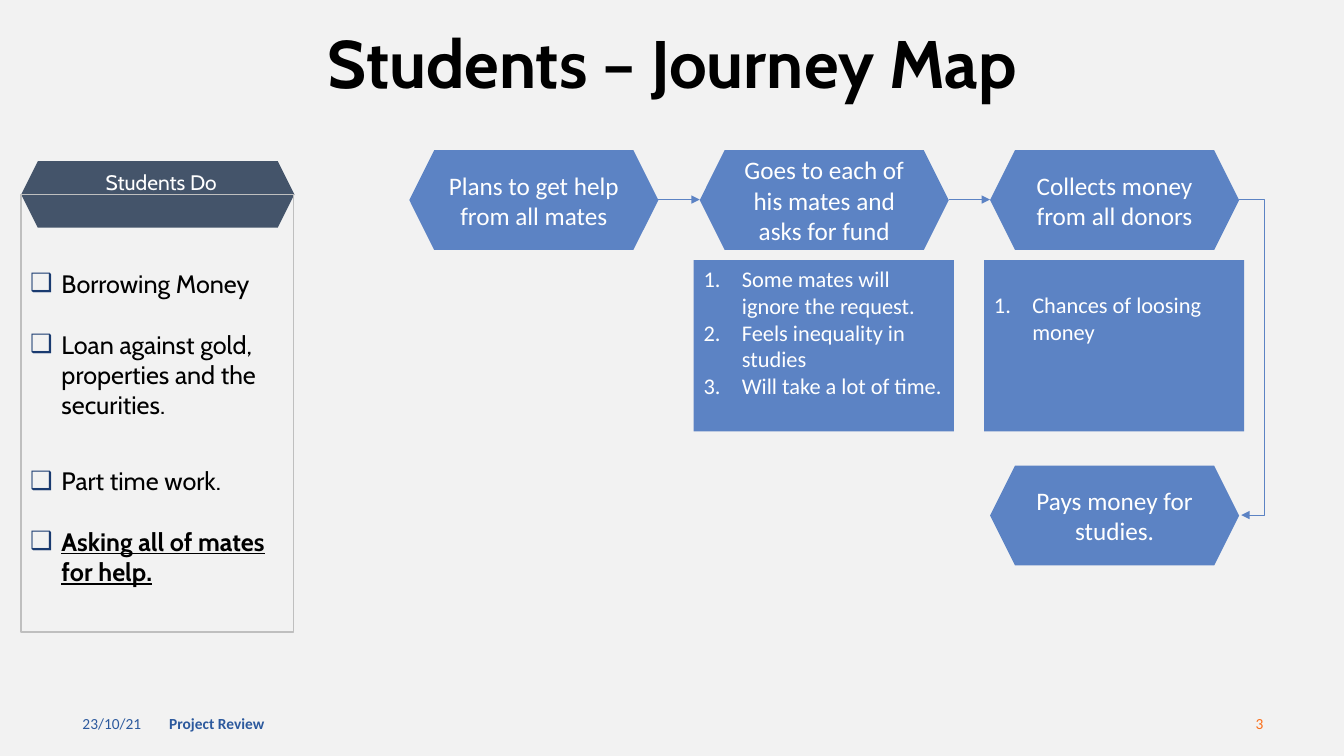
import dataclasses
import typing

import lxml.etree
import pptx
import pptx.dml.color
import pptx.enum.shapes
import pptx.enum.text
import pptx.oxml.ns
import pptx.util

SHAPE = pptx.enum.shapes.MSO_SHAPE
LINK = pptx.enum.shapes.MSO_CONNECTOR
ALIGN = pptx.enum.text.PP_ALIGN
ANCHOR = pptx.enum.text.MSO_ANCHOR
FIT = pptx.enum.text.MSO_AUTO_SIZE
SCALE = 9144  # EMU in one px: 100 px to the inch


@dataclasses.dataclass(frozen=True)
class Theme:
    back: str = "F2F2F2"
    step: str = "5C83C4"
    slate: str = "44546A"
    edge: str = "BFBFBF"
    mark: str = "1A3B70"
    foot: str = "2C599D"
    page: str = "FA6F1A"
    dark: str = "000000"
    light: str = "FFFFFF"
    head_font: str = "Cabin"
    text_font: str = "Calibri"
    title: int = 48
    body: int = 18
    note: int = 16
    label: int = 15
    small: int = 11


THEME = Theme()


class Box(typing.NamedTuple):
    left: int
    top: int
    width: int
    height: int


class Style(typing.NamedTuple):
    font: str
    size: int
    color: str
    align: typing.Any = ALIGN.LEFT
    bold: bool = False


class Step(typing.NamedTuple):
    text: str
    left: int
    top: int


class Note(typing.NamedTuple):
    left: int
    lines: list[str]
    free: int  # blank lines kept below the text


class Task(typing.NamedTuple):
    text: str
    space: float = 1.0
    chosen: bool = False


class Foot(typing.NamedTuple):
    text: str
    left: int
    width: int
    style: Style


class Arrow(typing.NamedTuple):
    start: tuple[int, int]
    end: tuple[int, int]
    reach: int = 0  # how far a bent arrow swings out


COLS = [406 + 288 * i for i in range(3)]
WIDE, HIGH = 247, 99
ROW, LAST = 149, 462
MID = ROW + HIGH // 2
STEPS = [
    Step("Plans to get help from all mates", COLS[0], ROW),
    Step("Goes to each of his mates and asks for fund", COLS[1], ROW),
    Step("Collects money from all donors", COLS[2], ROW),
    Step("Pays money for studies.", COLS[2], LAST),
]
NOTES = [
    Note(COLS[1] - 6, ["Some mates will ignore the request.",
                       "Feels inequality in studies",
                       "Will take a lot of time."], 1),
    Note(COLS[2] - 6, ["Chances of loosing money"], 2),
]
TASKS = [
    Task("Borrowing Money", 1.5),
    Task("Loan against gold, properties and the securities."),
    Task("Part time work.", 1.5),
    Task("Asking all of mates for help.", chosen=True),
]
FEET = [
    Foot("23/10/21", 72, 300, Style(THEME.text_font, THEME.small, THEME.foot)),
    Foot("Project Review", 158, 450,
         Style(THEME.text_font, THEME.small, THEME.foot, bold=True)),
    Foot("3", 963, 300,
         Style(THEME.text_font, THEME.small, THEME.page, ALIGN.RIGHT)),
]
ARROWS = [Arrow((a + WIDE, MID), (b, MID)) for a, b in zip(COLS, COLS[1:])]
ARROWS.append(Arrow((COLS[2] + WIDE, MID), (COLS[2] + WIDE + 2, LAST + HIGH // 2), 25))


def px(count: int) -> int:
    return count * SCALE


def rgb(code: str) -> pptx.dml.color.RGBColor:
    return pptx.dml.color.RGBColor.from_string(code)


def apply(target, **values) -> None:
    for name, value in values.items():
        setattr(target, name, value)


def place(shape, box: Box) -> None:
    apply(shape, **{name: px(value) for name, value in box._asdict().items()})


def add_xml(parent, tag: str, **values: str):
    return lxml.etree.SubElement(parent, pptx.oxml.ns.qn(tag), values)


def write(shape, lines: list[str], style: Style, **frame) -> list:
    """Fill the shape with one paragraph a line and return them."""
    text = shape.text_frame
    apply(text, **{"word_wrap": True, "auto_size": FIT.NONE, **frame})
    text.text = "\n".join(lines)
    for para in text.paragraphs:
        para.alignment = style.align
        font = para.runs[0].font
        apply(font, name=style.font, size=pptx.util.Pt(style.size), bold=style.bold)
        font.color.rgb = rgb(style.color)
    return list(text.paragraphs)


def indent(para, width: int):
    props = para._p.get_or_add_pPr()
    props.set("marL", str(px(width)))
    props.set("indent", str(px(-width)))
    return props


def add_form(slide, kind, box: Box, fill: str = "", line: str = ""):
    shape = slide.shapes.add_shape(kind, *map(px, box))
    shape.shadow.inherit = False
    if fill:
        shape.fill.solid()
        shape.fill.fore_color.rgb = rgb(fill)
    else:
        shape.fill.background()
    if line:
        shape.line.color.rgb = rgb(line)
        shape.line.width = pptx.util.Pt(1)
    else:
        shape.line.fill.background()
    return shape


def add_text(slide, box: Box, text: str, style: Style, **frame) -> None:
    write(slide.shapes.add_textbox(*map(px, box)), [text], style, **frame)


def add_step(slide, step: Step) -> None:
    shape = add_form(slide, SHAPE.HEXAGON, Box(step.left, step.top, WIDE, HIGH), THEME.step)
    style = Style(THEME.text_font, THEME.body, THEME.light, ALIGN.CENTER)
    write(shape, [step.text], style, vertical_anchor=ANCHOR.MIDDLE)


def add_note(slide, note: Note) -> None:
    shape = add_form(slide, SHAPE.RECTANGLE, Box(note.left, 258, 258, 170), THEME.step)
    style = Style(THEME.text_font, THEME.note, THEME.light)
    for para in write(shape, note.lines, style, vertical_anchor=ANCHOR.MIDDLE,
                      margin_bottom=px(5 + 27 * note.free)):
        add_xml(indent(para, 38), "a:buAutoNum", type="arabicPeriod")


def add_arrow(slide, arrow: Arrow) -> None:
    kind = LINK.ELBOW if arrow.reach else LINK.STRAIGHT
    link = slide.shapes.add_connector(kind, *map(px, arrow.start + arrow.end))
    link.line.color.rgb = rgb(THEME.step)
    link.line.width = pptx.util.Pt(0.5)
    add_xml(link.line._get_or_add_ln(), "a:tailEnd", type="triangle")
    props = link._element.spPr
    add_xml(props, "a:effectLst")
    if arrow.reach:
        ratio = arrow.reach * 100000 // (arrow.end[0] - arrow.start[0])
        guides = props.find(".//" + pptx.oxml.ns.qn("a:avLst"))
        add_xml(guides, "a:gd", name="adj1", fmla=f"val {ratio}")


def fill_tasks(body) -> None:
    place(body, Box(20, 246, 270, 362))
    style = Style(THEME.head_font, THEME.body, THEME.dark)
    paras = write(body, [task.text for task in TASKS], style,
                  vertical_anchor=ANCHOR.TOP, margin_right=0)
    for task, para in zip(TASKS, paras):
        apply(para, line_spacing=task.space, space_before=pptx.util.Pt(0),
              space_after=pptx.util.Pt(21.8))
        apply(para.runs[0].font, bold=task.chosen, underline=task.chosen)
        props = indent(para, 31)
        add_xml(add_xml(props, "a:buClr"), "a:srgbClr", val=THEME.mark)
        add_xml(props, "a:buChar", char="❑")


def main() -> None:
    deck = pptx.Presentation()
    apply(deck, slide_width=px(1333), slide_height=px(750))
    slide = deck.slides.add_slide(deck.slide_layouts[1])
    slide.background.fill.solid()
    slide.background.fill.fore_color.rgb = rgb(THEME.back)

    title = slide.shapes.title
    place(title, Box(47, 28, 1240, 77))
    style = Style(THEME.head_font, THEME.title, THEME.dark, ALIGN.CENTER, True)
    write(title, ["Students – Journey Map"], style,
          vertical_anchor=ANCHOR.MIDDLE)[0].line_spacing = 0.9
    fill_tasks(slide.placeholders[1])

    add_form(slide, SHAPE.HEXAGON, Box(21, 160, 271, 66), THEME.slate)
    add_form(slide, SHAPE.RECTANGLE, Box(21, 193, 270, 434), line=THEME.edge)
    add_text(slide, Box(25, 163, 270, 35), "Students Do",
             Style(THEME.head_font, THEME.label, THEME.light, ALIGN.CENTER),
             auto_size=FIT.SHAPE_TO_FIT_TEXT)
    for step in STEPS:
        add_step(slide, step)
    for note in NOTES:
        add_note(slide, note)
    for arrow in ARROWS:
        add_arrow(slide, arrow)
    for foot in FEET:
        add_text(slide, Box(foot.left, 698, foot.width, 40), foot.text, foot.style,
                 vertical_anchor=ANCHOR.MIDDLE)
    deck.save("out.pptx")


if __name__ == "__main__":
    main()
